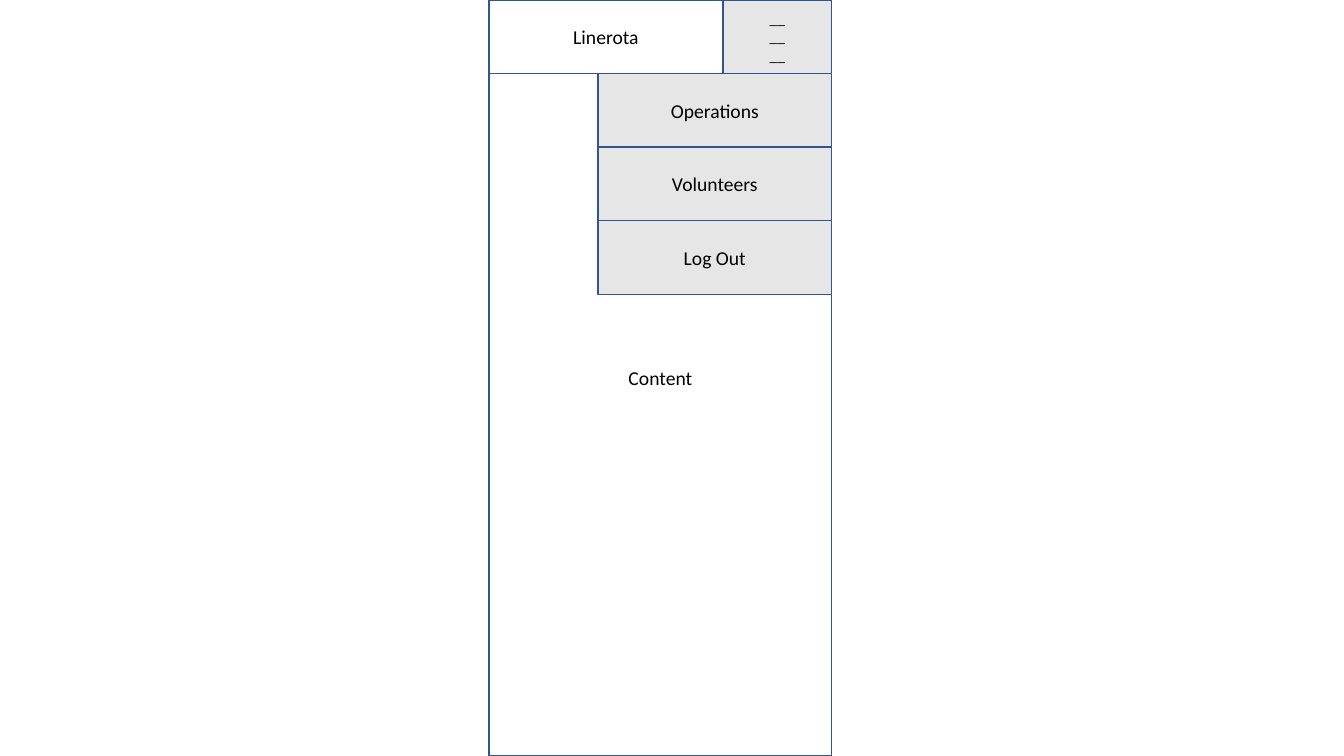
from lxml import etree
from pptx import Presentation
from pptx import util as u
from pptx.dml.color import RGBColor
from pptx.enum import shapes, text
from pptx.oxml.ns import qn

HUES = {"page": "FFFFFF", "menu": "E7E6E6", "edge": "325491", "ink": "000000"}
LEFT, WIDTH, HIGH = 4.85, 3.4, 7.5   # phone screen
BAR, ROW = 2.32, 0.73                # title bar and menu rows


def hue(name):
    return RGBColor.from_string(HUES[name])


def add_box(slide, label, left, top, width, height, fill, size=14):
    box = slide.shapes.add_shape(
        shapes.MSO_SHAPE.RECTANGLE,
        *(u.Inches(n) for n in (left, top, width, height)))
    box.shadow.inherit = False
    box.fill.solid()
    box.fill.fore_color.rgb = hue(fill)
    box.line.color.rgb = hue("edge")
    box.line.width = u.Pt(1)

    frame = box.text_frame
    frame.word_wrap = True
    frame.vertical_anchor = text.MSO_ANCHOR.MIDDLE
    frame.text = label
    para = frame.paragraphs[0]
    para.alignment = text.PP_ALIGN.CENTER
    for run in para.runs:
        run.font.name = "Calibri"
        run.font.size = u.Pt(size)
        run.font.color.rgb = hue("ink")
    # Line breaks keep the height of the text around them
    for gap in para._p.findall(qn("a:br")):
        etree.SubElement(gap, qn("a:rPr"), sz=str(size * 100))


def main():
    deck = Presentation()
    deck.slide_width, deck.slide_height = u.Inches(13.33), u.Inches(HIGH)
    slide = deck.slides.add_slide(deck.slide_layouts[6])

    # Screen with its content area
    add_box(slide, "Content", LEFT, 0, WIDTH, HIGH, "page")

    # Title bar and menu button
    add_box(slide, "Linerota", LEFT, 0, BAR, ROW, "page")
    add_box(slide, "\v".join(["__"] * 3), LEFT + BAR, 0, WIDTH - BAR, ROW,
            "menu", 11)

    # Open menu, flush with the right edge
    for row, label in enumerate(("Operations", "Volunteers", "Log Out"), 1):
        add_box(slide, label, LEFT + WIDTH - BAR, row * ROW, BAR, ROW, "menu")

    deck.save("out.pptx")


main()
